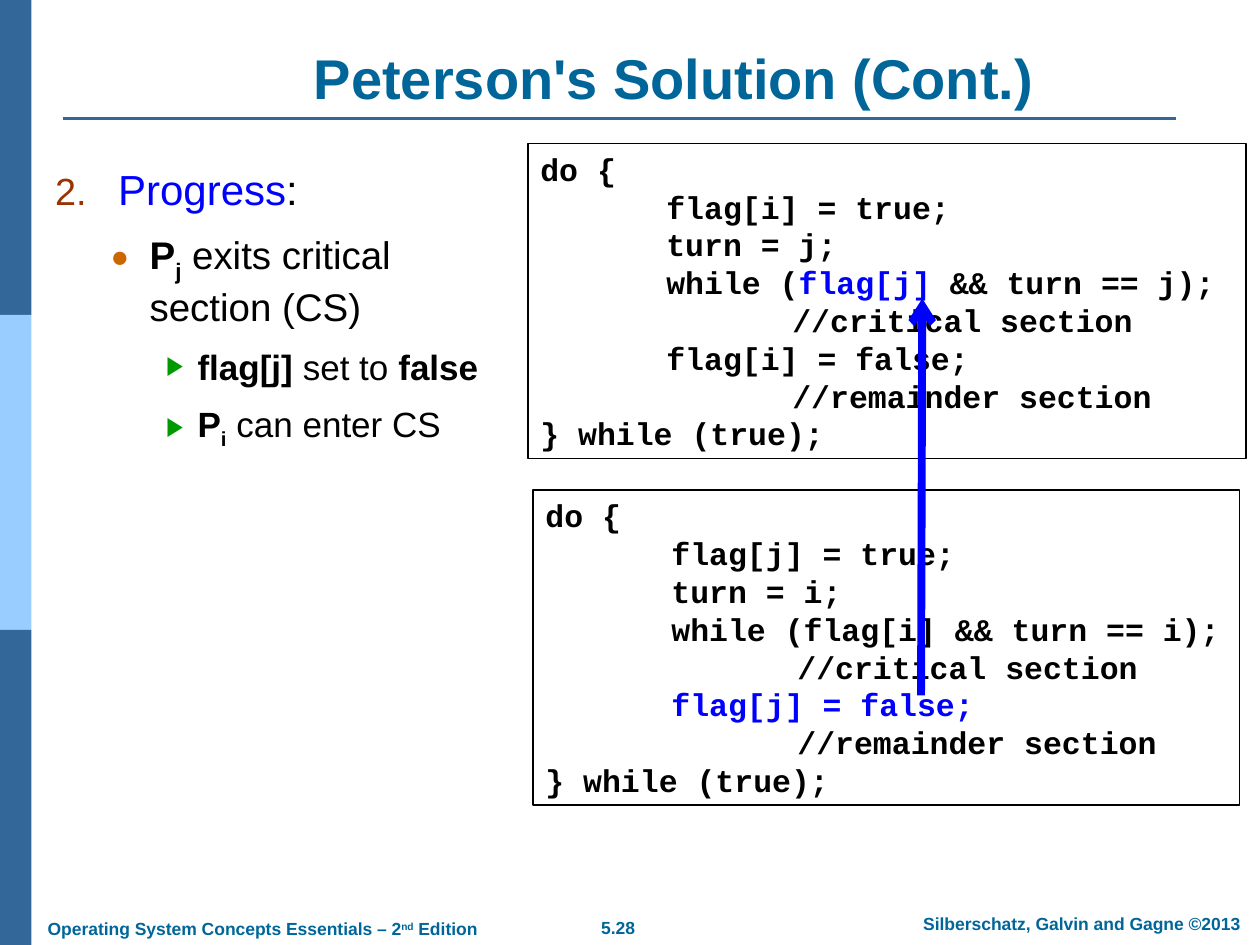
from pptx import Presentation
from pptx.dml.color import RGBColor
from pptx.enum.shapes import MSO_CONNECTOR, MSO_SHAPE
from pptx.enum.text import MSO_ANCHOR, PP_ALIGN
from pptx.oxml.ns import qn
from pptx.util import Inches, Pt
from lxml import etree

RECTANGLE = MSO_SHAPE.RECTANGLE
STRAIGHT = MSO_CONNECTOR.STRAIGHT
TOP, BOTTOM = MSO_ANCHOR.TOP, MSO_ANCHOR.BOTTOM
LEFT, CENTER = PP_ALIGN.LEFT, PP_ALIGN.CENTER

STEEL = RGBColor(0x33, 0x66, 0x99)
SKY = RGBColor(0x99, 0xCC, 0xFF)
TEAL = RGBColor(0x00, 0x66, 0x99)
BLUE = RGBColor(0x00, 0x00, 0xFF)
BLACK = RGBColor(0x00, 0x00, 0x00)
BROWN = RGBColor(0x99, 0x33, 0x00)
ORANGE = RGBColor(0xCC, 0x66, 0x00)
GREEN = RGBColor(0x00, 0x99, 0x00)

LEVELS = [
    dict(size=24, indent=0.56, hanging=0.5, before=0, color=BROWN, scale=90,
         tag="a:buAutoNum", mark={"type": "arabicPeriod", "startAt": "2"}),
    dict(size=22, indent=0.81, hanging=0.31, before=9.6, color=ORANGE, scale=80,
         tag="a:buChar", mark={"char": "●"}),
    dict(size=20, indent=1.19, hanging=0.25, before=8.8, color=GREEN, scale=75,
         tag="a:buChar", mark={"char": "▶"}),
]

OUTLINE = [
    (0, [("Progress", {"color": BLUE}), (":", {})]),
    (1, [("P", {"bold": True}), ("j", {"bold": True, "baseline": -25}),
         (" exits critical section (CS)", {})]),
    (2, [("flag[j] ", {"bold": True}), ("set to ", {}), ("false", {"bold": True})]),
    (2, [("P", {"bold": True}), ("i", {"bold": True, "baseline": -25}),
         (" can enter CS", {})]),
]


def process_code(own, other, waiting, leaving):
    return [
        [("do {", BLACK)],
        [(f"\tflag[{own}] = true;", BLACK)],
        [(f"\tturn = {other};", BLACK)],
        [("\twhile (", BLACK), (f"flag[{other}] ", waiting),
         (f"&& turn == {other});", BLACK)],
        [("\t\t//critical section", BLACK)],
        [(f"\tflag[{own}] = false;", leaving)],
        [("\t\t//remainder section", BLACK)],
        [("} while (true);", BLACK)],
    ]


class LectureSlide:
    body_font = "Arial"
    code_font = "Courier New"

    def __init__(self, slide):
        self.slide = slide

    def run(self, paragraph, text, size, color=BLACK, bold=False, baseline=0, font=None):
        run = paragraph.add_run()
        run.text = text
        run.font.name = font or self.body_font
        run.font.size = Pt(size)
        run.font.bold = bold
        run.font.color.rgb = color
        if baseline:
            run._r.get_or_add_rPr().set("baseline", str(baseline * 1000))

    def bar(self, top, color):
        bar = self.slide.shapes.add_shape(
            RECTANGLE, 0, Inches(top), Inches(0.25), Inches(2.5))
        bar.shadow.inherit = False
        bar.fill.solid()
        bar.fill.fore_color.rgb = color
        bar.line.fill.background()

    def line(self, start, end, color, width, arrow=False):
        line = self.slide.shapes.add_connector(
            STRAIGHT, *(Inches(value) for value in (*start, *end)))
        line.line.color.rgb = color
        line.line.width = Pt(width)
        if arrow:
            etree.SubElement(line.line._get_or_add_ln(), qn("a:tailEnd"), type="arrow")
        etree.SubElement(line._element.spPr, qn("a:effectLst"))

    def text_box(self, bounds, anchor=TOP):
        box = self.slide.shapes.add_textbox(*map(Inches, bounds))
        frame = box.text_frame
        frame.word_wrap = True
        frame.vertical_anchor = anchor
        return frame

    def label(self, bounds, parts, size, align=LEFT, anchor=TOP):
        paragraph = self.text_box(bounds, anchor).paragraphs[0]
        paragraph.alignment = align
        for text, baseline in parts:
            self.run(paragraph, text, size, TEAL, True, baseline)

    def outline(self, bounds, items):
        frame = self.text_box(bounds)
        for index, (depth, parts) in enumerate(items):
            paragraph = frame.add_paragraph() if index else frame.paragraphs[0]
            level = LEVELS[depth]
            paragraph.level = depth
            paragraph.space_before = Pt(level["before"])
            self.bullet(paragraph, level)
            for text, look in parts:
                self.run(paragraph, text, level["size"], **look)

    def bullet(self, paragraph, level):
        properties = paragraph._p.get_or_add_pPr()
        properties.set("marL", str(Inches(level["indent"])))
        properties.set("indent", str(-Inches(level["hanging"])))
        color = etree.SubElement(properties, qn("a:buClr"))
        etree.SubElement(color, qn("a:srgbClr"), val=str(level["color"]))
        etree.SubElement(properties, qn("a:buSzPct"), val=str(level["scale"] * 1000))
        etree.SubElement(properties, qn("a:buFont"), typeface=self.body_font)
        etree.SubElement(properties, qn(level["tag"]), level["mark"])

    def tab_stops(self, paragraph, count):
        stops = etree.SubElement(paragraph._p.get_or_add_pPr(), qn("a:tabLst"))
        for inch in range(1, count + 1):
            etree.SubElement(stops, qn("a:tab"), pos=str(Inches(inch)), algn="l")

    def code(self, bounds, lines):
        listing = self.slide.shapes.add_shape(RECTANGLE, *map(Inches, bounds))
        listing.shadow.inherit = False
        listing.fill.background()
        listing.line.color.rgb = BLACK
        listing.line.width = Pt(0.75)
        frame = listing.text_frame
        frame.word_wrap = True
        frame.vertical_anchor = TOP
        for index, parts in enumerate(lines):
            paragraph = frame.add_paragraph() if index else frame.paragraphs[0]
            paragraph.alignment = LEFT
            paragraph.line_spacing = Pt(21.6)
            self.tab_stops(paragraph, 2)
            for text, color in parts:
                self.run(paragraph, text, 18, color, True, font=self.code_font)


def main():
    presentation = Presentation()
    presentation.slide_width = Inches(10)
    presentation.slide_height = Inches(7.5)
    page = LectureSlide(presentation.slides.add_slide(presentation.slide_layouts[6]))

    for index, color in enumerate((STEEL, SKY, STEEL)):
        page.bar(index * 2.5, color)
    page.line((0.5, 0.94), (9.33, 0.94), STEEL, 1.5)

    page.label((4.41, 7.23, 0.99, 0.27), [("5.28", 0)], 10, CENTER)
    page.label((7.1, 7.2, 2.97, 0.27),
               [("Silberschatz, Galvin and Gagne ©2013", 0)], 10, CENTER)
    page.label((0.28, 7.24, 3.61, 0.27),
               [("Operating System Concepts Essentials – 2", 0), ("nd", 30),
                (" Edition", 0)], 10)
    page.label((1.2, 0.3, 8.3, 0.63), [("Peterson's Solution (Cont.)", 0)],
               32, CENTER, BOTTOM)

    page.outline((0.28, 1.25, 3.8, 5.62), OUTLINE)
    page.code((4.19, 1.14, 5.7, 2.5), process_code("i", "j", BLUE, BLACK))
    page.code((4.23, 3.89, 5.61, 2.5), process_code("j", "i", BLACK, BLUE))
    page.line((7.31, 5.52), (7.32, 2.37), BLUE, 4.5, arrow=True)

    presentation.save("out.pptx")


if __name__ == "__main__":
    main()
